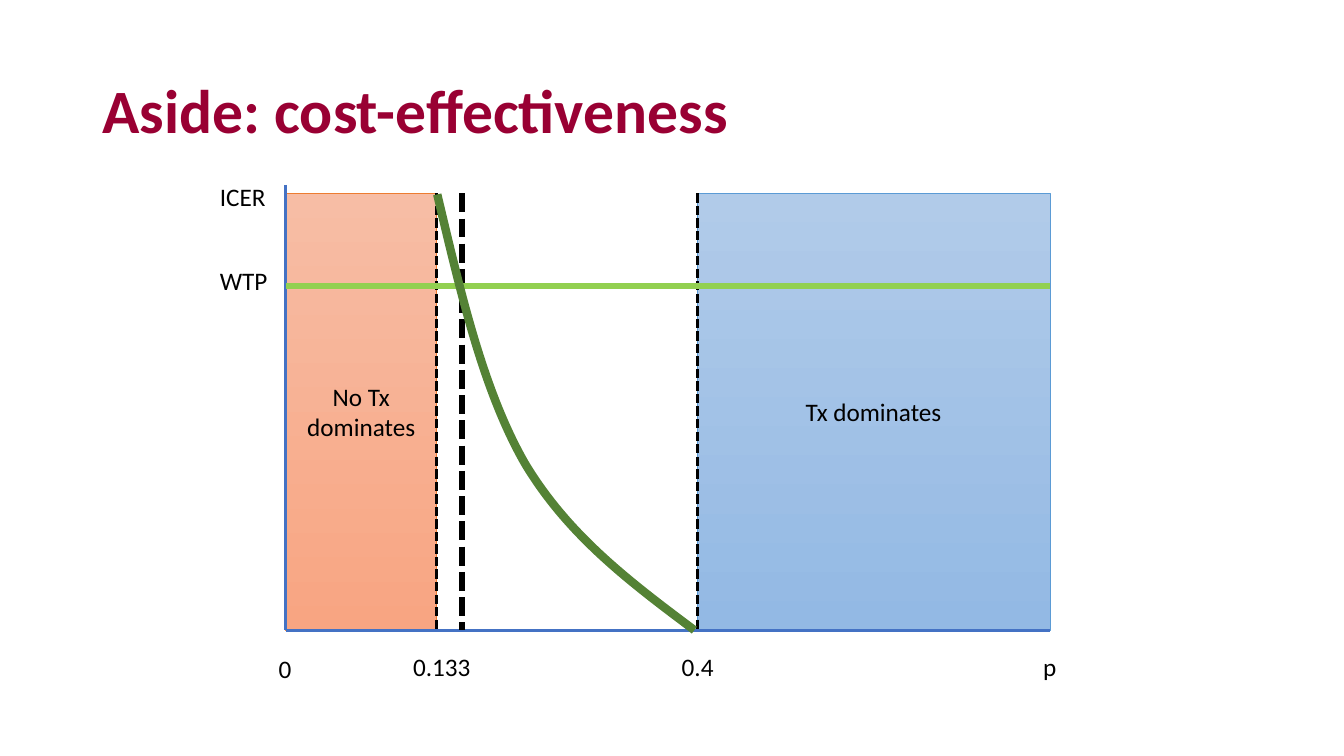
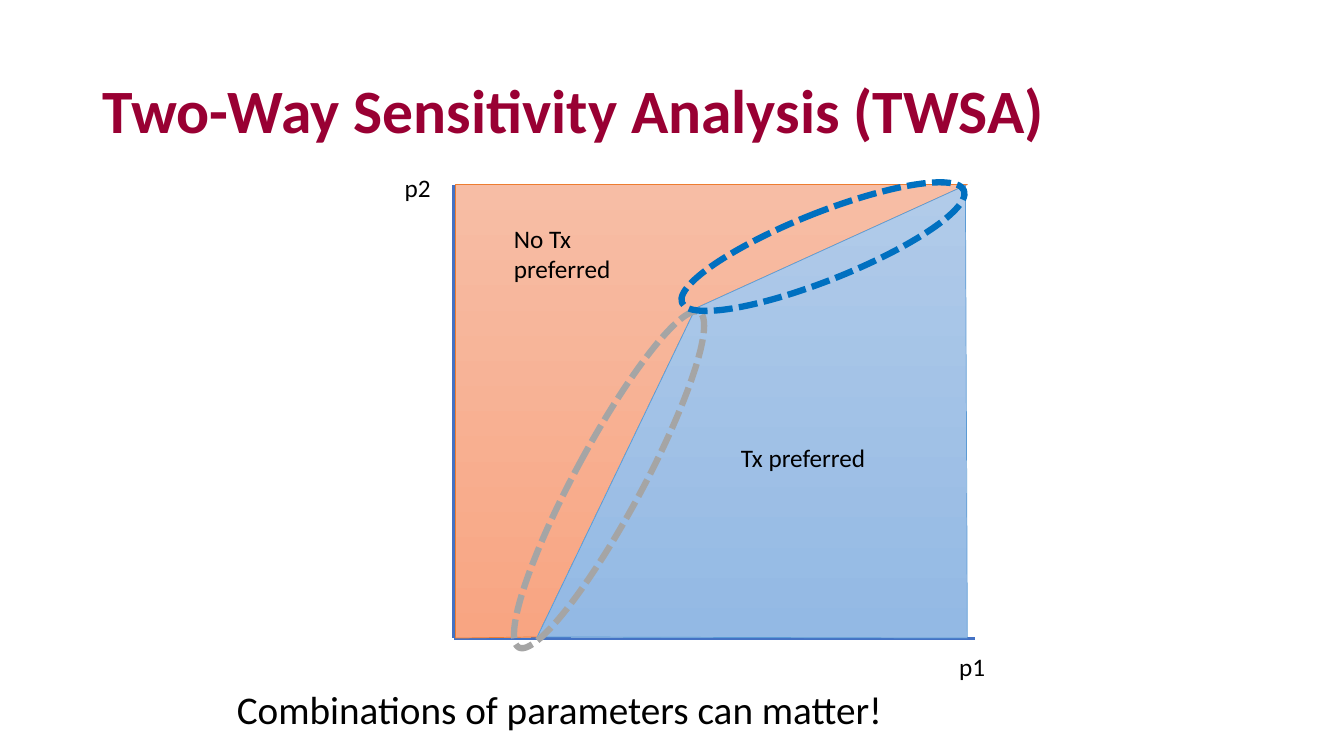
import lxml.etree
import pptx
import pptx.dml.color
import pptx.enum.dml
import pptx.enum.shapes
import pptx.enum.text
import pptx.oxml.ns
import pptx.util
from pptx.util import Cm

COLOURS = {
    "title": "990033", "text": "000000", "axis": "4472C4",
    "threshold": "92D050", "curve": "548235",
    "lower": "A5A5A5", "upper": "0070C0",
}
REGIONS = {
    "no_tx": {"top": "F7BDA5", "bottom": "F8A582", "edge": "ED7D31"},
    "tx": {"top": "B1CBE9", "bottom": "93B9E4", "edge": "5B9BD5"},
}
FONT = "Calibri"
TITLE_BOX = (2.34, 1.02, 29.21, 3.68)

LEFT, RIGHT, TOP, BOTTOM = 7.2, 26.46, 4.87, 15.88
AXIS_TOP = 4.66
NO_TX_END, SWITCH, TX_START = 11.01, 11.64, 17.57
WTP = 7.2

ICER = {
    "title": "Aside: cost-effectiveness",
    "bands": [
        ("Tx dominates", TX_START, RIGHT, "tx"),
        ("No Tx dominates", LEFT, NO_TX_END, "no_tx"),
    ],
    "axes": [(LEFT, AXIS_TOP, LEFT, BOTTOM), (LEFT, BOTTOM, RIGHT, BOTTOM)],
    "cutoffs": [(NO_TX_END, 2.25), (TX_START, 2.25), (SWITCH, 4.5)],
    "curve": [
        (11.02, 4.9), (11.61, 7.37), (12.17, 9.83), (13.23, 11.68),
        (14.33, 13.51), (15.9, 14.68), (17.5, 15.88),
    ],
    "labels": [
        ("0", 6.77, 16.34, 0.87, 18),
        ("0.133", 10.16, 16.3, 1.98, 18),
        ("0.4", 16.93, 16.3, 1.32, 18),
        ("p", 26.04, 16.3, 0.86, 18),
        ("ICER", 5.29, 4.45, 1.68, 18),
        ("WTP", 5.29, 6.56, 1.73, 18),
    ],
}

ORIGIN_X, ORIGIN_Y = 11.43, 16.08
BEND, FOOT = (17.53, 7.77), (13.54, 16.05)

TWSA = {
    "title": "Two-Way Sensitivity Analysis (TWSA)",
    "axes": [
        (ORIGIN_X, AXIS_TOP, ORIGIN_X, ORIGIN_Y),
        (ORIGIN_X, ORIGIN_Y, 24.56, ORIGIN_Y),
    ],
    "regions": [
        ("no_tx", [(11.48, 16.08), (11.48, 4.65), (24.38, 4.65), BEND, FOOT]),
        ("tx", [FOOT, BEND, (24.33, 4.67), (24.38, 16.08)]),
    ],
    "labels": [
        ("p2", 9.95, 4.23, 1.18, 18),
        ("p1", 23.92, 16.3, 1.18, 18),
        ("No Tx preferred", 12.7, 5.5, 4.52, 18),
        ("Tx preferred", 18.42, 11.01, 3.68, 18),
        ("Combinations of parameters can matter!", 5.72, 17.15, 16.78, 28),
    ],
    "rings": [
        (14.5, 7.29, 1.7, 9.6, 28.3, "lower"),
        (19.89, 2.39, 1.7, 7.65, 68.3, "upper"),
    ],
}


def rgb(value):
    return pptx.dml.color.RGBColor.from_string(value)


def style_line(line, colour, width, dashed=False):
    line.color.rgb = rgb(colour)
    line.width = pptx.util.Pt(width)
    if dashed:
        line.dash_style = pptx.enum.dml.MSO_LINE.SQUARE_DOT


def style_text(shape, text, size, colour, bold=False):
    shape.text_frame.text = text
    para = shape.text_frame.paragraphs[0]
    for span in para.runs:
        span.font.name = FONT
        span.font.size = pptx.util.Pt(size)
        span.font.bold = bold
        span.font.color.rgb = rgb(colour)
    return para


def style_region(shape, name):
    region = REGIONS[name]
    shape.shadow.inherit = False
    shape.fill.gradient()
    shape.fill.gradient_angle = 270
    for stop, end in zip(shape.fill.gradient_stops, ("top", "bottom")):
        stop.color.rgb = rgb(region[end])
    style_line(shape.line, region["edge"], 0.5)


def add_title(page, text):
    box = page.shapes.add_textbox(*map(Cm, TITLE_BOX))
    box.text_frame.word_wrap = True
    box.text_frame.vertical_anchor = pptx.enum.text.MSO_ANCHOR.MIDDLE
    style_text(box, text, 44, COLOURS["title"], True).line_spacing = 0.9


def add_labels(page, labels):
    for text, left, top, width, size in labels:
        height = 1.03 if size == 18 else 1.45
        box = page.shapes.add_textbox(*map(Cm, (left, top, width, height)))
        box.text_frame.word_wrap = False
        box.text_frame.auto_size = pptx.enum.text.MSO_AUTO_SIZE.SHAPE_TO_FIT_TEXT
        style_text(box, text, size, COLOURS["text"])


def add_line(page, ends, colour, width, dashed=False):
    line = page.shapes.add_connector(
        pptx.enum.shapes.MSO_CONNECTOR.STRAIGHT, *map(Cm, ends))
    style_line(line.line, COLOURS[colour], width, dashed)
    lxml.etree.SubElement(
        line._element.spPr, pptx.oxml.ns.qn("a:effectLst"))


def add_axes(page, axes):
    for ends in axes:
        add_line(page, ends, "axis", 2.25)


def add_outline(page, points, close):
    start, *others = [(Cm(x), Cm(y)) for x, y in points]
    builder = page.shapes.build_freeform(*start)
    builder.add_line_segments(others, close=close)
    shape = builder.convert_to_shape()
    shape.shadow.inherit = False
    return shape


def add_curve(page, points):
    shape = add_outline(page, points, False)
    shape.fill.background()
    style_line(shape.line, COLOURS["curve"], 6)
    segments = shape._element.xpath(".//a:lnTo")
    outline = segments[0].getparent()
    for first in range(0, len(segments), 3):
        bend = lxml.etree.SubElement(
            outline, pptx.oxml.ns.qn("a:cubicBezTo"))
        for segment in segments[first:first + 3]:
            bend.append(segment[0])
            outline.remove(segment)


def build_icer(page):
    for text, left, right, name in ICER["bands"]:
        band = page.shapes.add_shape(
            pptx.enum.shapes.MSO_SHAPE.RECTANGLE,
            *map(Cm, (left, TOP, right - left, BOTTOM - TOP)))
        style_region(band, name)
        band.text_frame.word_wrap = True
        band.text_frame.vertical_anchor = pptx.enum.text.MSO_ANCHOR.MIDDLE
        para = style_text(band, text, 18, COLOURS["text"])
        para.alignment = pptx.enum.text.PP_ALIGN.CENTER
    add_title(page, ICER["title"])
    add_axes(page, ICER["axes"])
    for x, width in ICER["cutoffs"]:
        add_line(page, (x, TOP, x, BOTTOM), "text", width, True)
    add_line(page, (LEFT, WTP, RIGHT, WTP), "threshold", 4.5)
    add_labels(page, ICER["labels"])
    add_curve(page, ICER["curve"])


def build_twsa(page):
    add_title(page, TWSA["title"])
    add_axes(page, TWSA["axes"])
    for name, points in TWSA["regions"]:
        style_region(add_outline(page, points, True), name)
    add_labels(page, TWSA["labels"])
    for left, top, width, height, angle, colour in TWSA["rings"]:
        ring = page.shapes.add_shape(
            pptx.enum.shapes.MSO_SHAPE.OVAL,
            *map(Cm, (left, top, width, height)))
        ring.rotation = angle
        ring.shadow.inherit = False
        ring.fill.background()
        style_line(ring.line, COLOURS[colour], 4.5, True)


def main():
    deck = pptx.Presentation()
    deck.slide_width, deck.slide_height = Cm(33.87), Cm(19.05)
    for build in (build_icer, build_twsa):
        build(deck.slides.add_slide(deck.slide_layouts[6]))
    deck.save("out.pptx")


if __name__ == "__main__":
    main()
